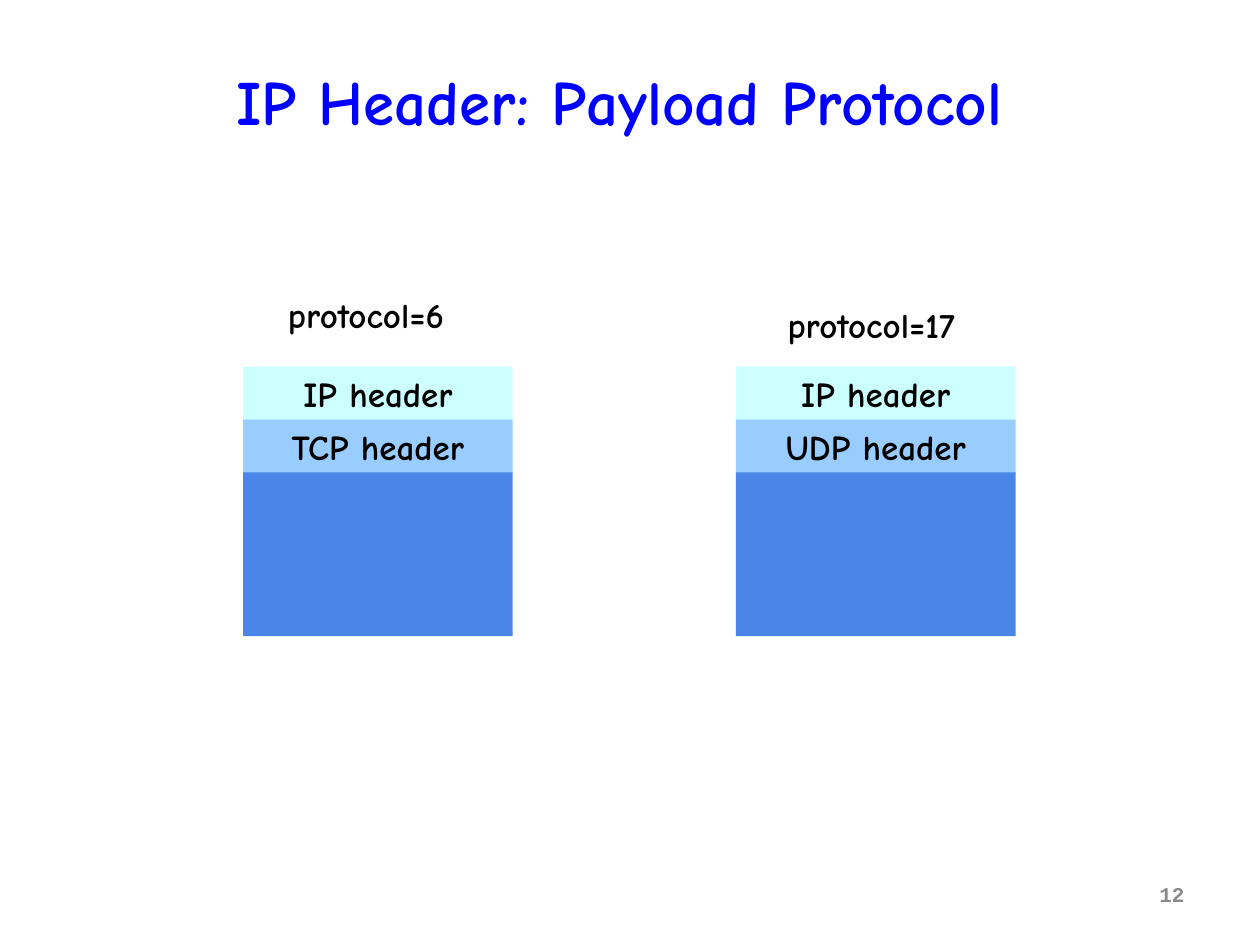
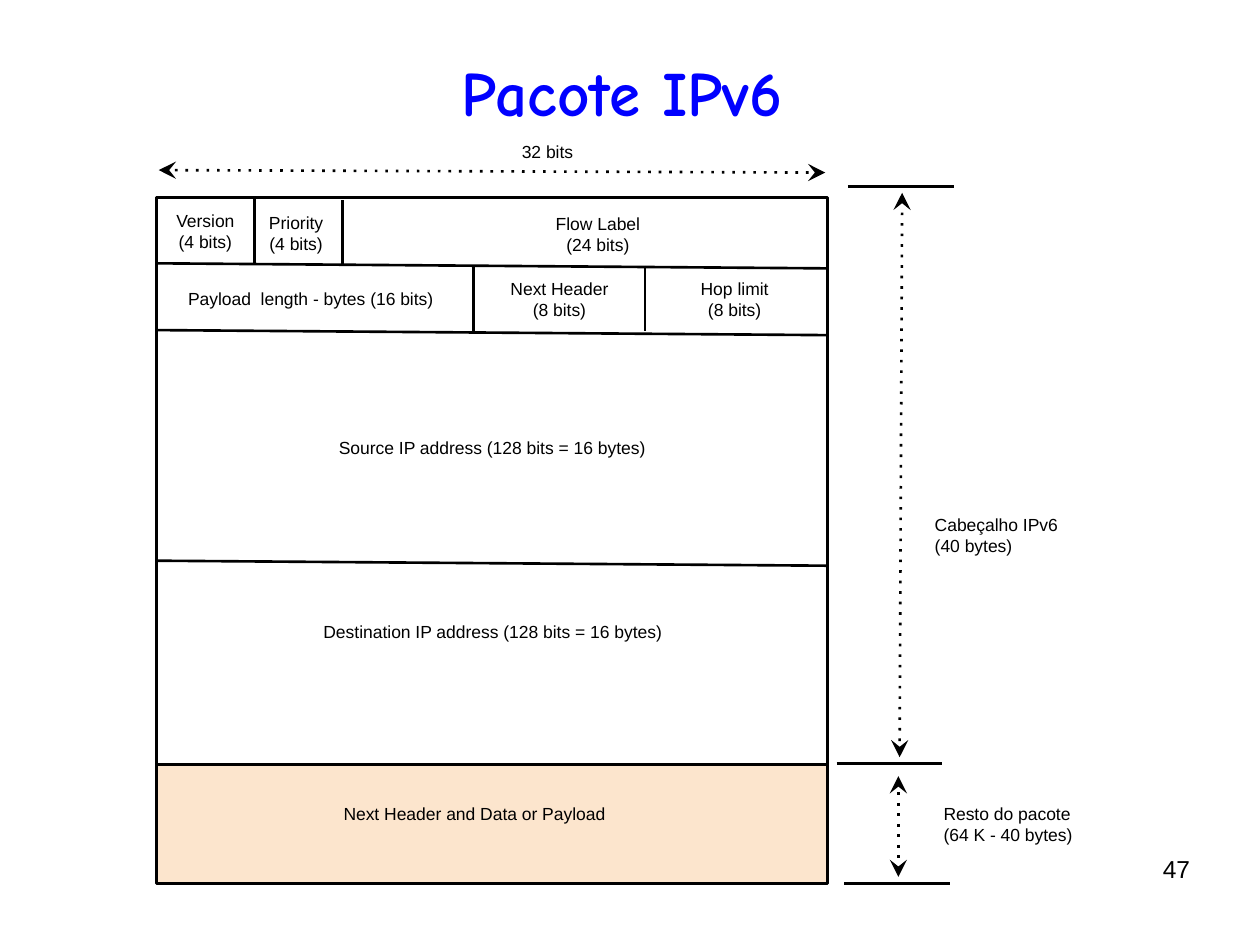
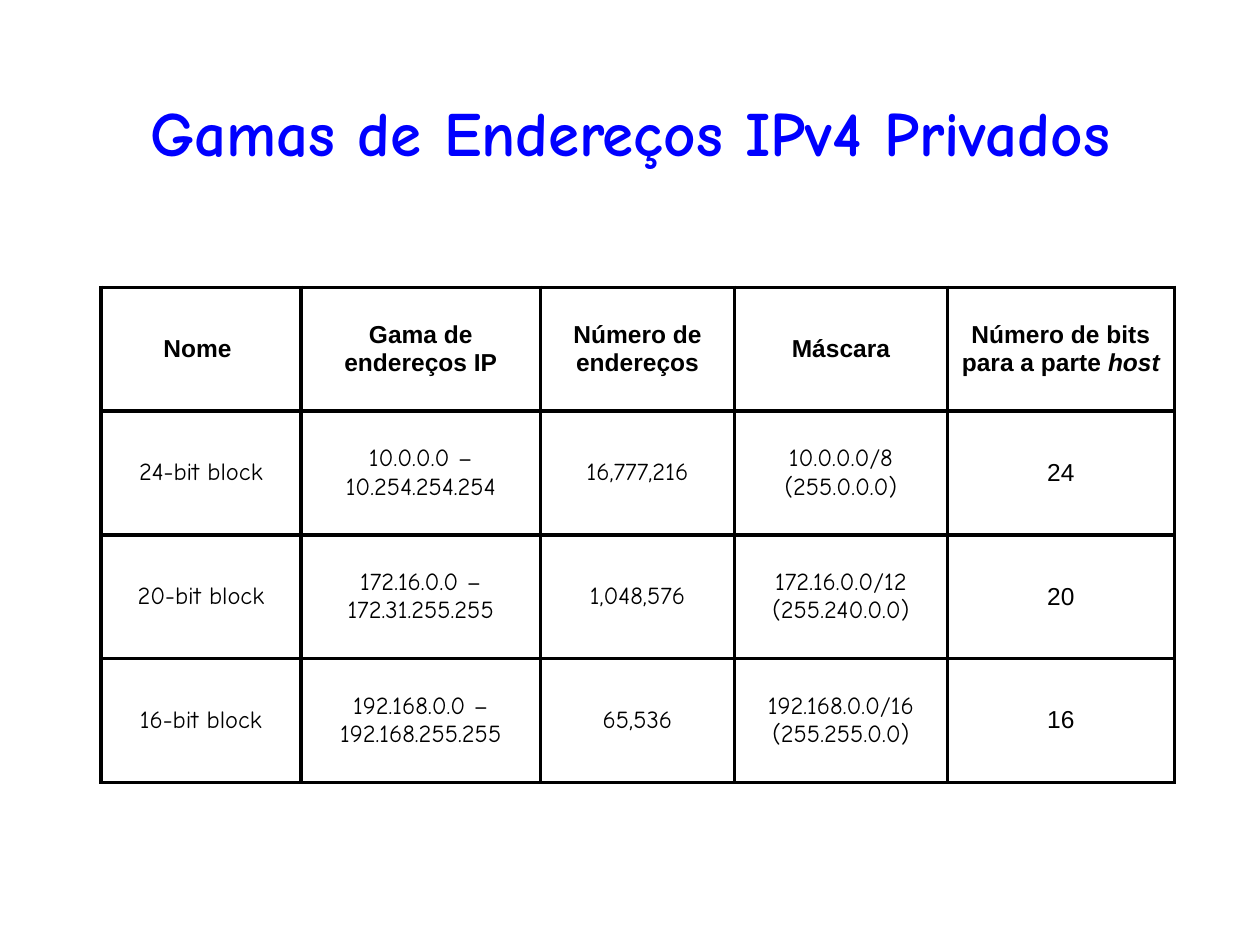
"""Build three slides on IP packets and address ranges."""
from pptx import Presentation
from pptx import util as u
from pptx.dml import color
from pptx.enum import shapes, text
from pptx.oxml import parse_xml, ns

INK = {"title": "0000FF", "black": "000000", "grey": "898989", "pale": "CCFFFF",
       "sky": "99CCFF", "blue": "4A86E8", "peach": "FCE5CD"}
COMIC, ARIAL, MONO = "Comic Neue", "Arial", "Courier New"
LEFT, MID, RIGHT = text.PP_ALIGN.LEFT, text.PP_ALIGN.CENTER, text.PP_ALIGN.RIGHT
TOP, CENTRE = text.MSO_ANCHOR.TOP, text.MSO_ANCHOR.MIDDLE


def rgb(name):
    """Return the named colour."""
    return color.RGBColor.from_string(INK[name])


def inch(*nums):
    """Turn numbers into lengths."""
    return [u.Inches(n) for n in nums]


def tag(xml):
    """Make a drawing element from its tag text."""
    return parse_xml(xml.replace(" ", f" {ns.nsdecls('a')} ", 1))


def write(frame, words, size=10, font=ARIAL, ink="black", bold=False, align=MID):
    """Fill a text frame; starred words are italic."""
    for i, line in enumerate(words.split("\n")):
        para = frame.paragraphs[0] if i == 0 else frame.add_paragraph()
        para.alignment = align
        for j, part in enumerate(line.split("*")):
            if part:
                run = para.add_run()
                run.text = part
                face = run.font
                face.size, face.name, face.bold = u.Pt(size), font, bold
                face.italic = j % 2 == 1
                face.color.rgb = rgb(ink)


def set_frame(frame, pad, anchor):
    """Set wrap, margins and anchor of a text frame."""
    frame.word_wrap = True
    frame.margin_left = frame.margin_right = u.Inches(0.1)
    frame.margin_top = frame.margin_bottom = u.Inches(pad)
    frame.vertical_anchor = anchor


def label(slide, box, words, pad=0.1, anchor=CENTRE, **form):
    """Add a text box."""
    frame = slide.shapes.add_textbox(*inch(*box)).text_frame
    set_frame(frame, pad, anchor)
    write(frame, words, **form)


def title(slide, box, words, pad=0.05):
    """Add the slide title."""
    label(slide, box, words, pad, size=36, font=COMIC, ink="title", bold=True)


def block(slide, box, fill=None, edge=False, words="", **form):
    """Add a rectangle, with text if given."""
    rect = slide.shapes.add_shape(shapes.MSO_SHAPE.RECTANGLE, *inch(*box))
    rect.shadow.inherit = False
    if fill:
        rect.fill.solid()
        rect.fill.fore_color.rgb = rgb(fill)
    else:
        rect.fill.background()
    if edge:
        rect.line.color.rgb = rgb("black")
        rect.line.width = u.Pt(1.5)
    else:
        rect.line.fill.background()
    if words:
        set_frame(rect.text_frame, 0.05, TOP)
        write(rect.text_frame, words, **form)


def rule(slide, x1, y1, x2, y2, arrow=False):
    """Draw a solid line, or a dotted one with two arrowheads."""
    line = slide.shapes.add_connector(shapes.MSO_CONNECTOR.STRAIGHT, *inch(x1, y1, x2, y2))
    line.line.color.rgb = rgb("black")
    line.line.width = u.Pt(1.5)
    if arrow:
        pen = line.line._get_or_add_ln()
        pen.append(tag('<a:prstDash val="dot"/>'))
        for end in ("head", "tail"):
            pen.append(tag(f'<a:{end}End type="stealth" w="lg" len="lg"/>'))
    line._element.spPr.append(tag("<a:effectLst />"))


def stack(slide, box, head, note, spot):
    """Draw one packet as stacked layers under its protocol note."""
    x, y, w, h = box
    form = dict(size=20, font=COMIC, bold=True)
    step = 0.42
    layers = [("IP header", "pale", 0.43), (head, "sky", 0.43), ("", "blue", h - 2 * step)]
    for i, (words, fill, tall) in enumerate(layers):
        block(slide, (x, y + i * step, w, tall), fill, words=words, **form)
    dx, dy, wide = spot
    label(slide, (x + dx, y + dy, wide, 0.43), note, 0.05, TOP, **form)


def packet(slide, box):
    """Draw the packet with its fields."""
    x, y, w, h = box
    head = 4.5
    block(slide, (x, y, w, head), edge=True)
    block(slide, (x, y + head, w, h - head), "peach", edge=True)
    for dy in (0.52, 1.05, 2.88):
        rule(slide, x, y + dy, x + w, y + dy + 0.04)
    for dx, dy in ((0.78, 0), (1.48, 0.02), (2.52, 0.55), (3.88, 0.54)):
        rule(slide, x + dx, y + dy, x + dx, y + dy + 0.52)
    rule(slide, x + 0.02, y - 0.22, x + w - 0.02, y - 0.2, arrow=True)
    fields = [
        (2.66, -0.53, 0.89, 0.33, "32 bits"),
        (-0.03, 0.02, 0.84, 0.48, "Version\n(4 bits)"),
        (0.69, 0.01, 0.84, 0.54, "Priority\n(4 bits)"),
        (1.8, 0.02, 3.41, 0.54, "Flow Label\n(24 bits)"),
        (0.06, 0.53, 2.33, 0.54, "Payload  length - bytes (16 bits)"),
        (2.65, 0.6, 1.1, 0.41, "Next Header (8 bits)"),
        (4.1, 0.6, 0.98, 0.41, "Hop limit\n(8 bits)"),
        (0.77, 1.8, 3.79, 0.36, "Source IP address (128 bits = 16 bytes)"),
        (0.57, 3.26, 4.2, 0.36, "Destination IP address (128 bits = 16 bytes)"),
        (1.01, 4.71, 3.03, 0.36, "Next Header and Data or Payload"),
    ]
    for dx, dy, wide, tall, words in fields:
        label(slide, (x + dx, y + dy, wide, tall), words)


def spans(slide, box):
    """Mark the lengths of header and payload beside the packet."""
    x, y, w, h = box
    for dx, dy in ((0.09, 0), (0, 4.58), (0.06, h)):
        rule(slide, x + dx, y + dy, x + dx + w, y + dy)
    rule(slide, x + 0.5, y + 4.53, x + 0.52, y + 0.05, arrow=True)
    rule(slide, x + 0.49, y + 4.68, x + 0.49, y + 5.48, arrow=True)
    label(slide, (x + 0.68, y + 2.49, 1.41, 0.55), "Cabeçalho IPv6\n(40 bytes)", align=LEFT)
    label(slide, (x + 0.75, y + 4.88, 1.47, 0.36), "Resto do pacote\n(64 K - 40 bytes)", align=LEFT)


def grid(slide, box, cols, rows):
    """Add the bordered table of address ranges."""
    table = slide.shapes.add_table(len(rows), len(cols), *inch(*box)).table
    table.first_row = table.horz_banding = False
    for col, wide in zip(table.columns, cols):
        col.width = u.Inches(wide)
    for r, row in enumerate(rows):
        table.rows[r].height = u.Inches(box[3] / len(rows))
        for c, words in enumerate(row):
            cell = table.cell(r, c)
            cell.margin_left = cell.margin_right = u.Inches(0.1)
            cell.margin_top = cell.margin_bottom = u.Inches(0.1)
            cell.vertical_anchor = CENTRE
            props = cell._tc.get_or_add_tcPr()
            for side in "LRTB":
                props.append(tag(f'<a:ln{side} w="{u.Pt(2.25)}"><a:solidFill>'
                                 f'<a:srgbClr val="{INK["black"]}"/></a:solidFill></a:ln{side}>'))
            cell.fill.background()
            plain = r == 0 or c == len(cols) - 1
            write(cell.text_frame, words, size=14, font=ARIAL if plain else COMIC, bold=r == 0)


def main():
    """Build and save the slides."""
    deck = Presentation()
    deck.slide_width, deck.slide_height = inch(10, 7.5)
    one, two, three = [deck.slides.add_slide(deck.slide_layouts[6]) for _ in range(3)]

    title(one, (0.33, 0.42, 9.17, 0.75), "IP Header: Payload Protocol")
    stack(one, (1.93, 2.91, 2.14, 2.14), "TCP header", "protocol=6", (0.04, -0.63, 1.87))
    stack(one, (5.84, 2.91, 2.22, 2.14), "UDP header", "protocol=17", (0.06, -0.55, 2.03))
    label(one, (7.17, 6.95, 2.33, 0.4), "12", 0.05, TOP,
          size=12, font=MONO, ink="grey", bold=True, align=RIGHT)

    title(two, (0.35, 0.35, 9.17, 0.75), "Pacote IPv6", 0.1)
    packet(two, (1.24, 1.57, 5.33, 5.44))
    spans(two, (6.64, 1.48, 0.84, 5.53))
    label(two, (9.13, 6.73, 0.51, 0.42), "47", 0.05, TOP, size=14, align=LEFT)

    title(three, (0.5, 0.42, 9, 1.25), "Gamas de Endereços IPv4 Privados")
    grid(three, (0.8, 2.28, 8.52, 3.93), (1.59, 1.9, 1.54, 1.69, 1.8), [
        ("Nome ", "Gama de endereços IP", "Número de endereços", "Máscara",
         "Número de bits para a parte *host*"),
        ("24-bit block", "10.0.0.0 – 10.254.254.254", "16,777,216", "10.0.0.0/8 (255.0.0.0)", "24"),
        ("20-bit block", "172.16.0.0 – 172.31.255.255", "1,048,576",
         "172.16.0.0/12 (255.240.0.0)", "20"),
        ("16-bit block", "192.168.0.0 – 192.168.255.255", "65,536",
         "192.168.0.0/16 (255.255.0.0)", "16"),
    ])
    deck.save("out.pptx")


if __name__ == "__main__":
    main()
